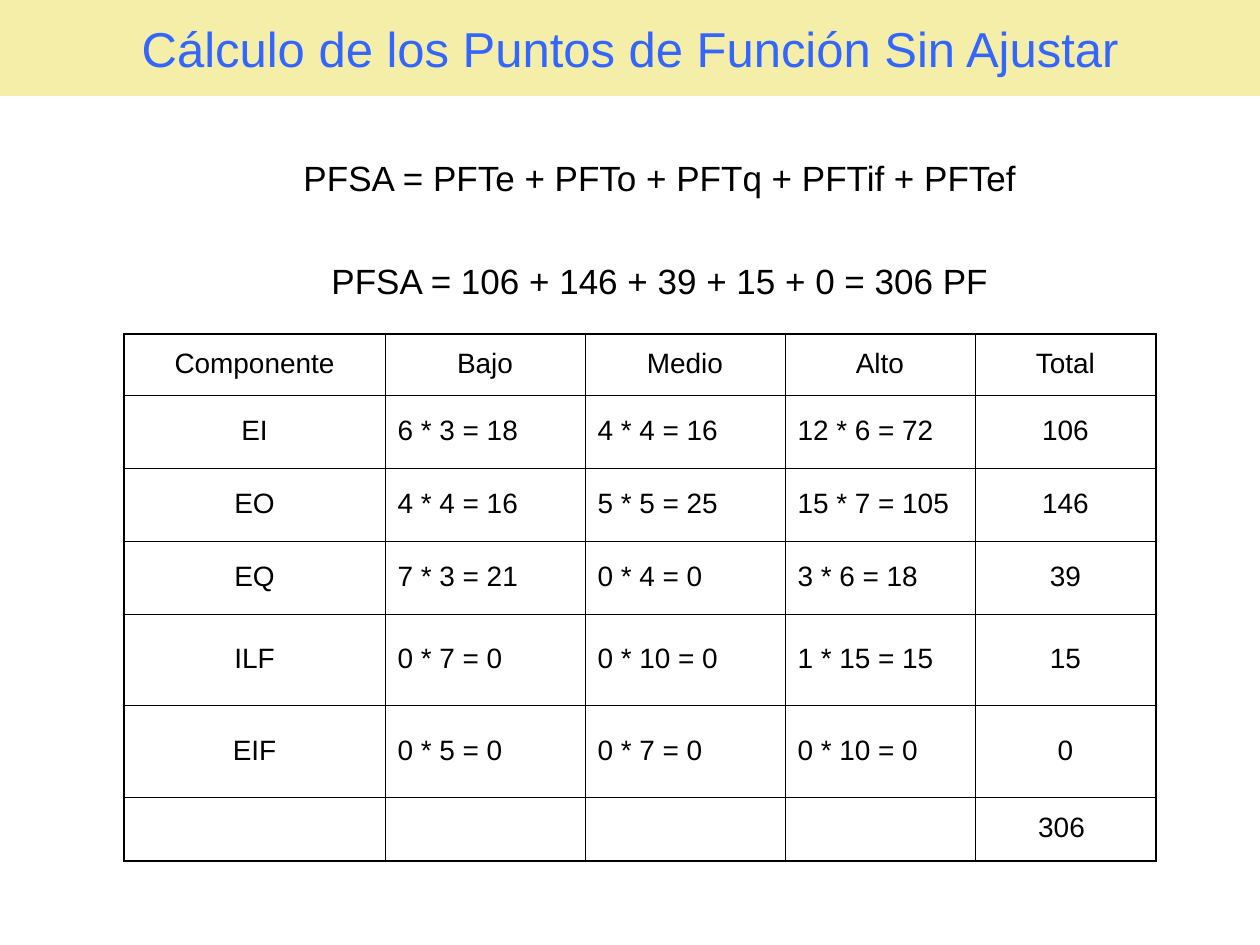
from lxml import etree
from pptx import Presentation
from pptx.dml.color import RGBColor
from pptx.enum.shapes import MSO_SHAPE
from pptx.enum.text import MSO_ANCHOR, PP_ALIGN
from pptx.oxml.ns import qn
from pptx.util import Emu, Pt

RECTANGLE = MSO_SHAPE.RECTANGLE
MIDDLE = MSO_ANCHOR.MIDDLE
LEFT, CENTER = PP_ALIGN.LEFT, PP_ALIGN.CENTER

SCALE = 914400 // 126
FONT = "Arial"
COLORS = {"band": "F5EEA9", "title": "3366FF", "text": "000000", "line": "000000"}
OUTER, INNER = 1.08, 0.45

FORMULAS = [
    "PFSA = PFTe + PFTo + PFTq + PFTif + PFTef",
    "PFSA = 106 + 146 + 39 + 15 + 0 = 306 PF",
]
COLUMNS = [261, 200, 200, 190, 181]
ROWS = [61, 73, 73, 73, 92, 92, 63]
COMPONENTS = [
    ["Componente", "Bajo", "Medio", "Alto", "Total"],
    ["EI", "6 * 3 = 18", "4 * 4 = 16", "12 * 6 = 72", "106"],
    ["EO", "4 * 4 = 16", "5 * 5 = 25", "15 * 7 = 105", "146"],
    ["EQ", "7 * 3 = 21", "0 * 4 = 0", "3 * 6 = 18", "39"],
    ["ILF", "0 * 7 = 0", "0 * 10 = 0", "1 * 15 = 15", "15"],
    ["EIF", "0 * 5 = 0", "0 * 7 = 0", "0 * 10 = 0", "0"],
    ["", "", "", "", "306 "],
]


def px(length):
    return Emu(length * SCALE)


def color(name):
    return RGBColor.from_string(COLORS[name])


def apply(target, values):
    for name, value in values.items():
        setattr(target, name, value)


class SlideBuilder:
    def __init__(self, page):
        self.page = page

    def fill_para(self, para, text, size, ink="text", **layout):
        apply(para, layout)
        span = para.add_run()
        span.text = text
        apply(span.font, {"name": FONT, "size": Pt(size)})
        span.font.color.rgb = color(ink)

    def band(self, left, top, width, height, text):
        box = self.page.shapes.add_shape(
            RECTANGLE, px(left), px(top), px(width), px(height))
        box.shadow.inherit = False
        box.fill.solid()
        box.fill.fore_color.rgb = color("band")
        box.line.fill.background()
        apply(box.text_frame, {"word_wrap": True, "vertical_anchor": MIDDLE})
        self.fill_para(box.text_frame.paragraphs[0], text, 28, "title",
                       alignment=CENTER)

    def formulas(self, left, top, width, height, lines, inset, gap):
        box = self.page.shapes.add_textbox(px(left), px(top), px(width), px(height))
        frame = box.text_frame
        apply(frame, {"word_wrap": True, "margin_top": px(inset)})
        for index, line in enumerate(lines):
            para = frame.add_paragraph() if index else frame.paragraphs[0]
            self.fill_para(para, line, 20, alignment=CENTER,
                           space_before=px(gap if index else 0))

    def border(self, cell, side, width):
        line = etree.SubElement(cell._tc.get_or_add_tcPr(), qn(f"a:ln{side}"),
                                w=str(Pt(width)))
        fill = etree.SubElement(line, qn("a:solidFill"))
        etree.SubElement(fill, qn("a:srgbClr"), val=COLORS["line"])

    def table(self, left, top, columns, rows, content):
        last_row, last_column = len(rows) - 1, len(columns) - 1
        table = self.page.shapes.add_table(
            len(rows), len(columns), px(left), px(top),
            px(sum(columns)), px(sum(rows))).table
        apply(table, {"first_row": False, "horz_banding": False})
        for column, width in zip(table.columns, columns):
            column.width = px(width)
        for r, (row, height) in enumerate(zip(table.rows, rows)):
            row.height = px(height)
            for c, cell in enumerate(row.cells):
                edges = {"L": c == 0, "R": c == last_column,
                         "T": r == 0, "B": r == last_row}
                for side, outside in edges.items():
                    self.border(cell, side, OUTER if outside else INNER)
                cell.fill.background()
                cell.vertical_anchor = MIDDLE
                if content[r][c]:
                    centered = r == 0 or c in (0, last_column)
                    self.fill_para(cell.text_frame.paragraphs[0], content[r][c], 16,
                                   alignment=CENTER if centered else LEFT,
                                   line_spacing=0.93, space_before=Pt(4))


def main():
    deck = Presentation()
    apply(deck, {"slide_width": px(1260), "slide_height": px(945)})
    builder = SlideBuilder(deck.slides.add_slide(deck.slide_layouts[6]))
    builder.band(0, 0, 1260, 96, "Cálculo de los Puntos de Función Sin Ajustar")
    builder.formulas(134, 96, 1052, 800, FORMULAS, inset=60, gap=61)
    builder.table(124, 334, COLUMNS, ROWS, COMPONENTS)
    deck.save("out.pptx")


if __name__ == "__main__":
    main()
